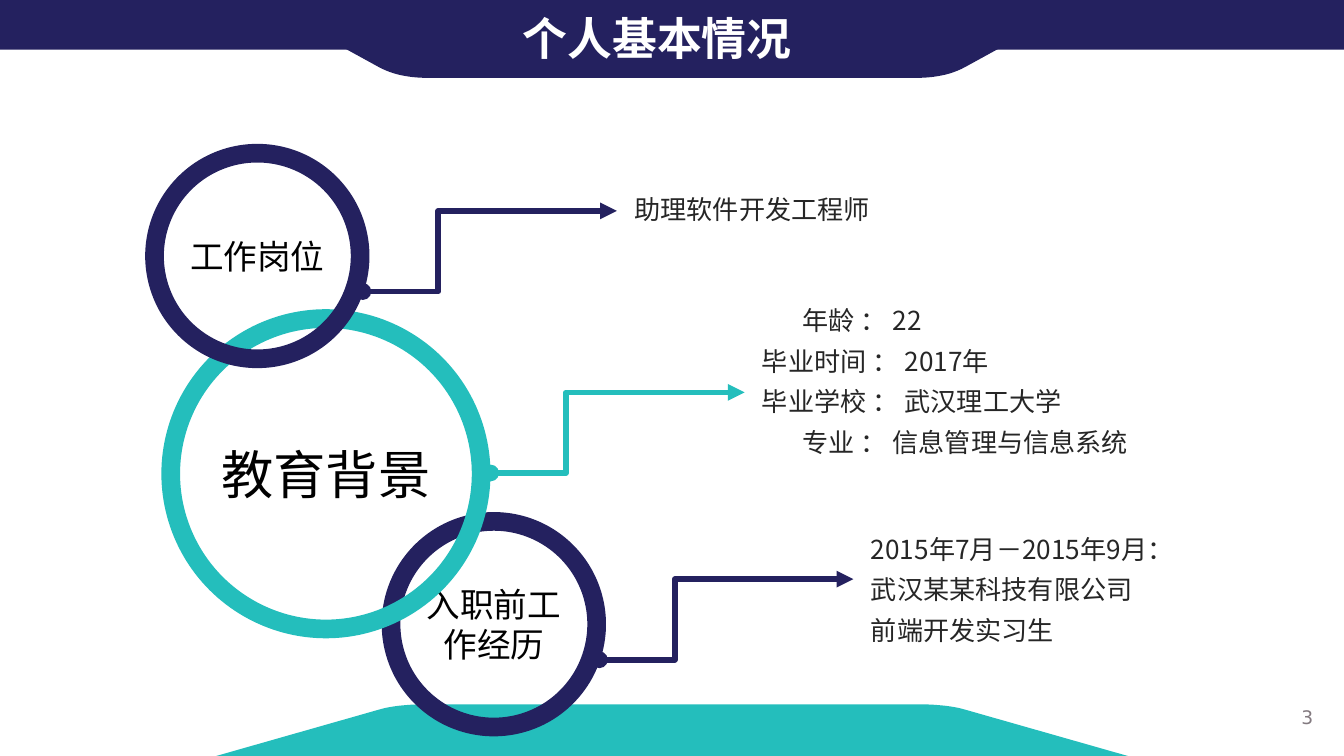
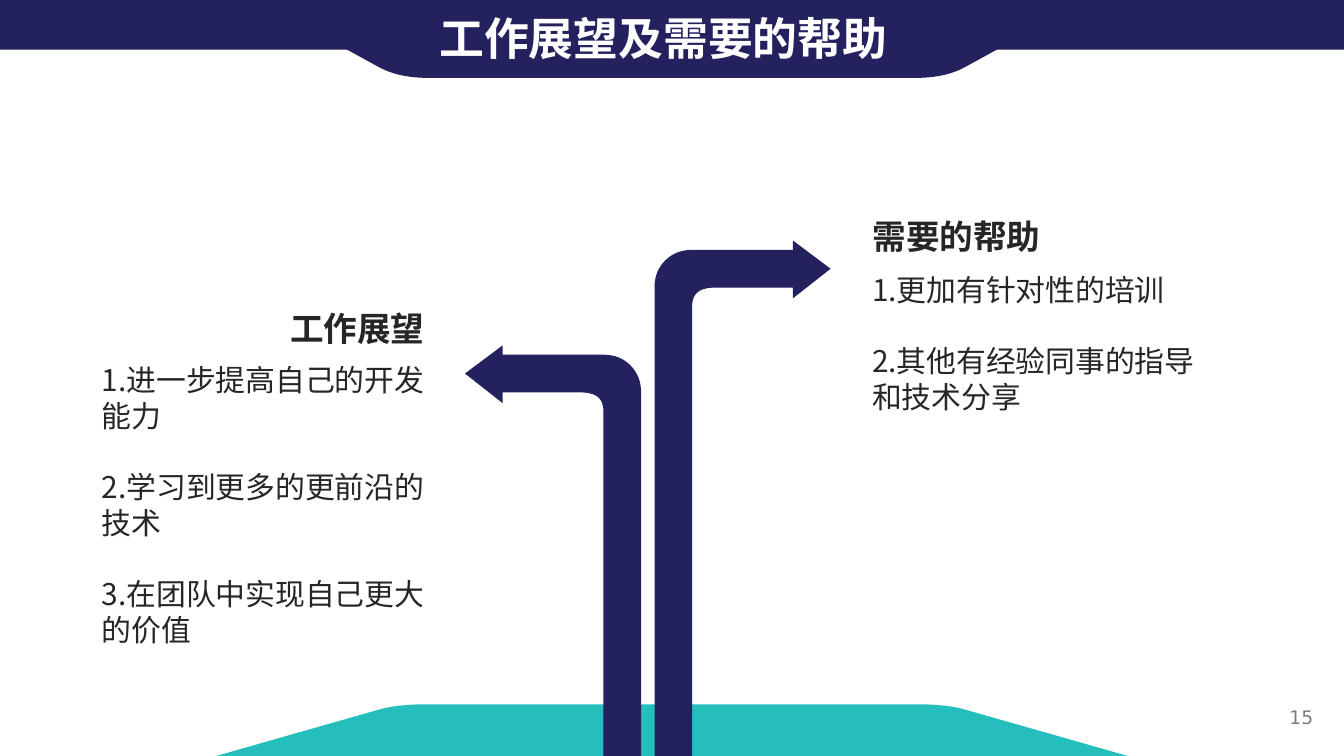
"""Builds two slides of a probation report: personal profile and work outlook."""
from lxml import etree
from pptx import Presentation
from pptx.dml.color import RGBColor
from pptx.enum.shapes import MSO_CONNECTOR, MSO_SHAPE
from pptx.enum.text import MSO_ANCHOR, PP_ALIGN
from pptx.oxml.ns import qn
from pptx.util import Emu, Pt

PX = 9144
WIDTH, HEIGHT = 1000, 562
NAVY, TEAL, INK, BLACK, WHITE, GREY = "24215F", "24BEBC", "262626", "000000", "FFFFFF", "837A80"
CJK, LATIN = "Noto Sans CJK SC", "DejaVu Sans"
LEFT, CENTER, RIGHT, JUSTIFY = PP_ALIGN.LEFT, PP_ALIGN.CENTER, PP_ALIGN.RIGHT, PP_ALIGN.JUSTIFY
TOP, MIDDLE = MSO_ANCHOR.TOP, MSO_ANCHOR.MIDDLE
RECT, OVAL, ELBOW = MSO_SHAPE.RECTANGLE, MSO_SHAPE.OVAL, MSO_CONNECTOR.ELBOW
NO_INSET, WIDE_INSET = (0, 0, 0, 0), (11, 6, 11, 6)


def px(n):
    return Emu(round(n * PX))


def rgb(value):
    return RGBColor.from_string(value)


def curve(a, b, c, d, steps=12):
    """Return points along a cubic curve from a to d."""
    ts = [i / steps for i in range(steps + 1)]
    return [tuple((1 - t) ** 3 * a[k] + 3 * (1 - t) ** 2 * t * b[k]
                  + 3 * (1 - t) * t ** 2 * c[k] + t ** 3 * d[k] for k in (0, 1)) for t in ts]


def mirror(points, total):
    """Reflect points so that x becomes total - x."""
    return [(total - x, y) for x, y in points]


def set_text(sp, text, size=14, color=INK, bold=False, font=CJK, align=LEFT, anchor=TOP,
             inset=(10, 5, 10, 5), wrap=True, line=None, gap=0, indents=()):
    """Fill a shape with one paragraph for each line of text."""
    tf = sp.text_frame
    tf.word_wrap, tf.vertical_anchor = wrap, anchor
    tf.margin_left, tf.margin_top, tf.margin_right, tf.margin_bottom = map(px, inset)
    for i, content in enumerate(text.split("\n")):
        p = tf.paragraphs[0] if i == 0 else tf.add_paragraph()
        p.alignment = align
        if line:
            p.line_spacing = line
        if i and gap:
            p.space_before = Pt(gap)
        if i in indents:
            p._p.get_or_add_pPr().set("marL", str(px(30)))
        r = p.add_run()
        r.text = content
        r.font.size, r.font.bold, r.font.name = Pt(size), bold, font
        r.font.color.rgb = rgb(color)
        etree.SubElement(r._r.get_or_add_rPr(), qn("a:ea")).set("typeface", font)


class Deck:
    """Holds the presentation, its style and the current slide."""

    def __init__(self):
        self.prs = Presentation()
        self.prs.slide_width, self.prs.slide_height = px(WIDTH), px(HEIGHT + 0.5)
        self.s = None

    def slide(self, title, left, width, number):
        self.s = self.prs.slides.add_slide(self.prs.slide_layouts[6])
        self.text(number, 952, 525, 25, 17, size=10, color=GREY, font=LATIN,
                  align=RIGHT, anchor=MIDDLE, inset=NO_INSET)
        self.band([(159, 563)] + curve((282, 528), (292, 525), (306, 524), (318, 524)), TEAL)
        self.paint(self.s.shapes.add_shape(RECT, 0, 0, px(WIDTH), px(37)), NAVY)
        self.band([(191, 0)] + curve((282, 50), (293, 56), (306, 58), (319, 58)), NAVY)
        self.text(title, left, 3, width, 50, size=24, color=WHITE, bold=True, wrap=False)

    def paint(self, sp, color):
        sp.shadow.inherit = False
        sp.fill.solid()
        sp.fill.fore_color.rgb = rgb(color)
        sp.line.fill.background()

    def outline(self, points, color):
        scaled = [(x * PX, y * PX) for x, y in points]
        fb = self.s.shapes.build_freeform(*scaled[0], scale=1.0)
        fb.add_line_segments(scaled[1:], close=True)
        self.paint(fb.convert_to_shape(), color)

    def band(self, half, color):
        self.outline(half + mirror(half, WIDTH)[::-1], color)

    def text(self, text, x, y, w, h, **fmt):
        set_text(self.s.shapes.add_textbox(px(x), px(y), px(w), px(h)), text, **fmt)

    def ring(self, text, x, y, d, color, size=18):
        sp = self.s.shapes.add_shape(OVAL, px(x), px(y), px(d), px(d))
        sp.shadow.inherit = False
        sp.fill.background()
        sp.line.color.rgb, sp.line.width = rgb(color), Pt(10)
        set_text(sp, text, size=size, color=BLACK, align=CENTER, anchor=MIDDLE, inset=NO_INSET)

    def elbow(self, x, y, color):
        cn = self.s.shapes.add_connector(ELBOW, px(x), px(y), px(x + 189), px(y - 60))
        cn.line.color.rgb, cn.line.width = rgb(color), Pt(3)
        pr = cn._element.spPr
        av = pr.find(qn("a:prstGeom")).get_or_add_avLst()
        etree.SubElement(av, qn("a:gd"), name="adj1", fmla="val 29700")
        ln = pr.find(qn("a:ln"))
        etree.SubElement(ln, qn("a:headEnd"), type="oval")
        etree.SubElement(ln, qn("a:tailEnd"), type="triangle")
        etree.SubElement(pr, qn("a:effectLst"))

    def details(self, text, x, y, w, h, **fmt):
        self.text(text, x, y, w, h, **{"align": JUSTIFY, "anchor": MIDDLE,
                                       "inset": WIDE_INSET, "line": 1.3, **fmt})

    def heading(self, text, x, y, w, align=LEFT):
        self.text(text, x, y, w, 40, size=18, bold=True, align=align)

    def points(self, text, x, y, h):
        self.text(text, x, y, 279, h, size=16, gap=19)


def signpost(top):
    """Return a right-pointing bent arrow that rises from the slide's foot."""
    return ([(590, top + 7), (590, top), (618, top + 21), (590, top + 43), (590, top + 35)]
            + curve((533, top + 35), (522, top + 35), (515, top + 38), (515, top + 49))
            + [(515, 563), (487, 563)]
            + curve((487, top + 34), (487, top + 19), (499, top + 7), (514, top + 7)))


def profile(deck):
    deck.slide("个人基本情况", 379, 222, "3")
    deck.ring("入职前工作经历", 291, 388, 153, NAVY)
    deck.details("2015年7月－2015年9月：\n武汉某某科技有限公司\n前端开发实习生", 637, 371, 312, 128)
    deck.ring("教育背景", 127, 237, 231, TEAL, size=28)
    deck.elbow(365, 352, TEAL)
    deck.details("年龄 ： 22\n毕业时间 ： 2017年\n毕业学校 ： 武汉理工大学\n专业 ： 信息管理与信息系统",
                 556, 222, 336, 146, inset=(11, 6, 11, 36), indents=(0, 3))
    deck.elbow(446, 491, NAVY)
    deck.ring("工作岗位", 115, 114, 153, NAVY)
    deck.details("助理软件开发工程师", 461, 100, 338, 104)
    deck.elbow(270, 217, NAVY)


def outlook(deck):
    deck.slide("工作展望及需要的帮助", 317, 357, "15")
    deck.outline(signpost(179), NAVY)
    deck.outline(mirror(signpost(257), 964), NAVY)
    deck.heading("需要的帮助", 620, 156, 164, align=RIGHT)
    deck.points("1.更加有针对性的培训\n2.其他有经验同事的指导和技术分享", 639, 197, 148)
    deck.heading("工作展望", 206, 224, 127)
    deck.points("1.进一步提高自己的开发能力\n2.学习到更多的更前沿的技术\n3.在团队中实现自己更大的价值",
                66, 264, 226)


def main():
    deck = Deck()
    profile(deck)
    outlook(deck)
    deck.prs.save("out.pptx")


if __name__ == "__main__":
    main()
